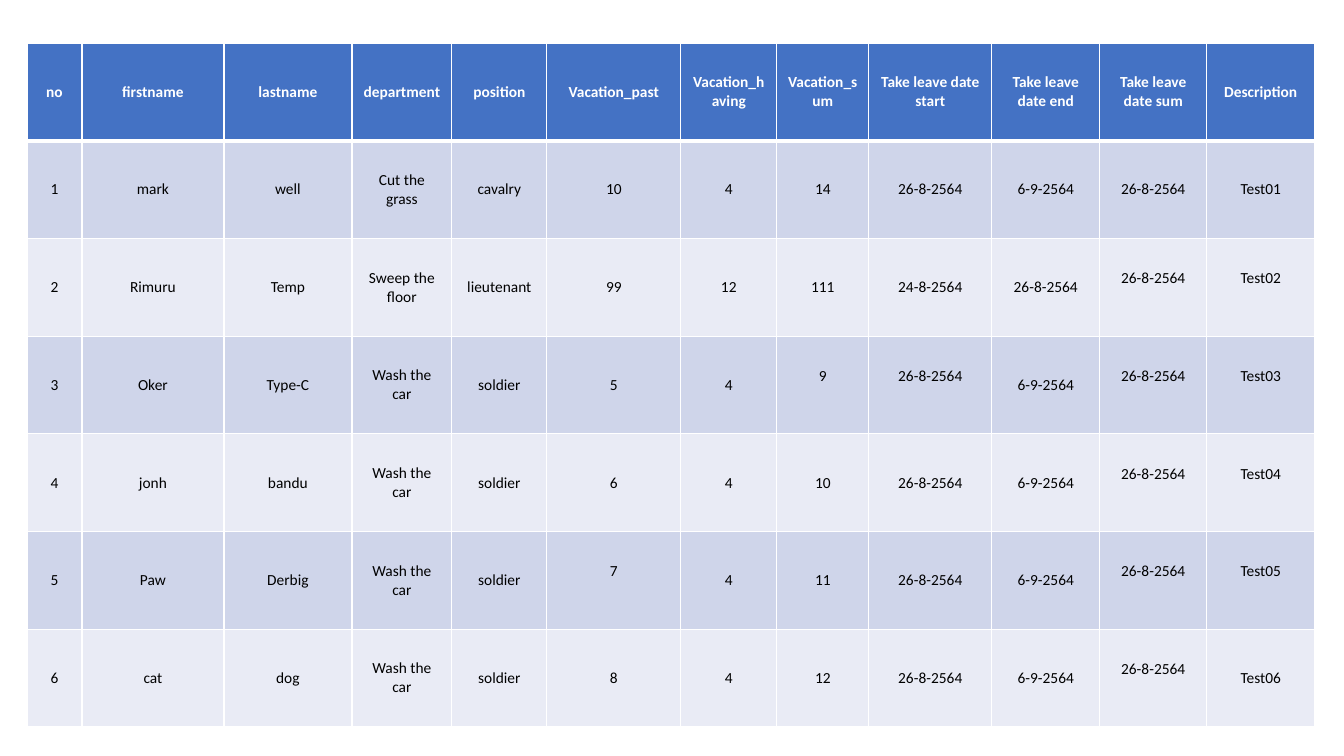
from lxml import etree
from pptx import Presentation
from pptx import util as u
from pptx.dml.color import RGBColor
from pptx.enum import text
from pptx.oxml.ns import qn

HEAD = ["no", "firstname", "lastname", "department", "position",
        "Vacation_past", "Vacation_having", "Vacation_sum",
        "Take leave date start", "Take leave date end",
        "Take leave date sum", "Description"]
STAFF = [
    ["1", "mark", "well", "Cut the grass", "cavalry", "10", "4", "14",
     "26-8-2564", "6-9-2564", "26-8-2564", "Test01"],
    ["2", "Rimuru", "Temp", "Sweep the floor", "lieutenant", "99", "12", "111",
     "24-8-2564", "26-8-2564", "26-8-2564", "Test02"],
    ["3", "Oker", "Type-C", "Wash the car", "soldier", "5", "4", "9",
     "26-8-2564", "6-9-2564", "26-8-2564", "Test03"],
    ["4", "jonh", "bandu", "Wash the car", "soldier", "6", "4", "10",
     "26-8-2564", "6-9-2564", "26-8-2564", "Test04"],
    ["5", "Paw", "Derbig", "Wash the car", "soldier", "7", "4", "11",
     "26-8-2564", "6-9-2564", "26-8-2564", "Test05"],
    ["6", "cat", "dog", "Wash the car", "soldier", "8", "4", "12",
     "26-8-2564", "6-9-2564", "26-8-2564", "Test06"],
]
# Columns whose text sits half a line higher, by row
RAISED = {2: (10, 11), 3: (7, 8, 10, 11), 4: (10, 11), 5: (5, 10, 11), 6: (10,)}

WIDTHS = [55, 142, 128, 100, 95, 134, 96, 92, 123, 108, 107, 108]
LEFT, TOP, HIGH = 27, 43, 684
PAD, LIFT = 5, 18

BLUE = RGBColor(0x44, 0x72, 0xC4)
DARK = RGBColor(0xCF, 0xD5, 0xEA)
LIGHT = RGBColor(0xE9, 0xEB, 0xF5)
WHITE = RGBColor(0xFF, 0xFF, 0xFF)
BLACK = RGBColor(0, 0, 0)


def px(n):
    return u.Emu(round(n * 914400 / 100.8))


def write(cell, words, size=11, color=BLACK, bold=False):
    par = cell.text_frame.paragraphs[0]
    par.alignment = text.PP_ALIGN.CENTER
    run = par.add_run()
    run.text = words
    font = run.font
    font.name, font.size, font.bold = "Calibri", u.Pt(size), bold
    font.color.rgb = color


def border(cell, **sides):
    """Draw white cell edges; each side (L, R, T, B) gives a width in points."""
    props = cell._tc.get_or_add_tcPr()
    for side, wide in sides.items():
        line = etree.SubElement(props, qn("a:ln" + side), w=str(u.Pt(wide)))
        fill = etree.SubElement(line, qn("a:solidFill"))
        etree.SubElement(fill, qn("a:srgbClr"), val=str(WHITE))


def main():
    deck = Presentation()
    deck.slide_width, deck.slide_height = px(1344), px(756)
    slide = deck.slides.add_slide(deck.slide_layouts[6])
    rows = [HEAD] + STAFF
    table = slide.shapes.add_table(len(rows), len(HEAD), px(LEFT), px(TOP),
                                   px(sum(WIDTHS)), px(HIGH)).table
    for col, wide in zip(table.columns, WIDTHS):
        col.width = px(wide)
    for r, row in enumerate(rows):
        table.rows[r].height = px(HIGH / len(rows))
        head = r == 0
        shade = BLUE if head else DARK if r % 2 else LIGHT
        for c, words in enumerate(row):
            cell = table.cell(r, c)
            border(cell, L=1, R=1, T=3 if r == 1 else 1, B=3 if head else 1)
            cell.fill.solid()
            cell.fill.fore_color.rgb = shade
            cell.vertical_anchor = text.MSO_ANCHOR.MIDDLE
            if c in RAISED.get(r, ()):
                cell.margin_bottom = px(PAD + LIFT)
            write(cell, words, color=WHITE if head else BLACK, bold=head)
    deck.save("out.pptx")


if __name__ == "__main__":
    main()
